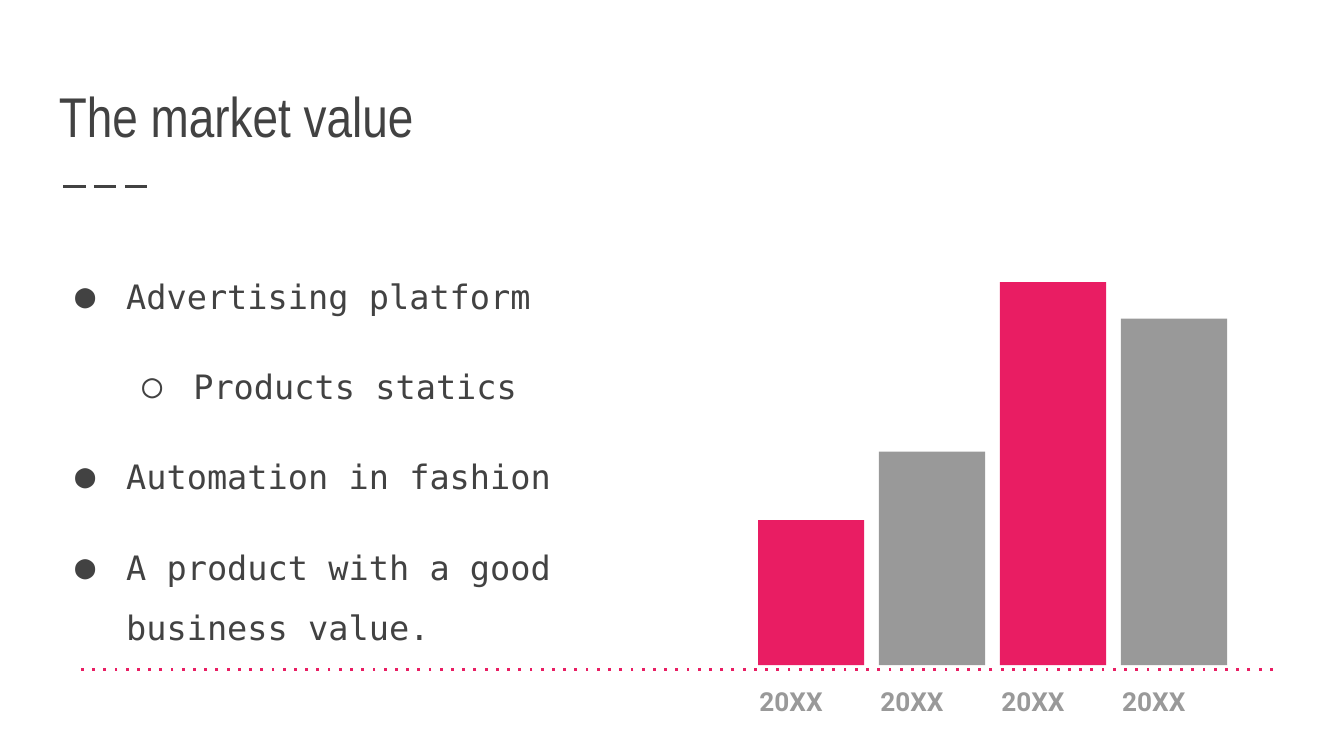
from lxml import etree
from pptx import Presentation
from pptx.dml.color import RGBColor
from pptx.enum.shapes import MSO_CONNECTOR, MSO_SHAPE
from pptx.enum.text import MSO_ANCHOR
from pptx.oxml.ns import qn
from pptx.util import Inches, Pt

STRAIGHT = MSO_CONNECTOR.STRAIGHT
RECTANGLE = MSO_SHAPE.RECTANGLE
TOP, BOTTOM = MSO_ANCHOR.TOP, MSO_ANCHOR.BOTTOM

COLORS = {"text": "424242", "accent": "E91D63", "muted": "999999"}
TITLE = {"name": "Arial Narrow", "size": Pt(30)}
BODY = {"name": "DejaVu Sans Mono", "size": Pt(18)}
YEAR = {"name": "Roboto", "size": Pt(14), "bold": True}
MARGINS = ("margin_left", "margin_top", "margin_right", "margin_bottom")

BULLETS = [
    (0, "Advertising platform"),
    (1, "Products statics"),
    (0, "Automation in fashion"),
    (0, "A product with a good business value."),
]
BARS = [("20XX", 1.08, "accent"), ("20XX", 1.59, "muted"),
        ("20XX", 2.85, "accent"), ("20XX", 2.58, "muted")]
BAR_LEFT, BAR_WIDTH, BAR_STEP, BAR_BASE = 5.64, 0.79, 0.9, 4.95


def rgb(name):
    return RGBColor.from_string(COLORS[name])


def add_span(para, text, style, color):
    span = para.add_run()
    span.text = text
    for key, value in style.items():
        setattr(span.font, key, value)
    span.font.color.rgb = rgb(color)


def add_box(page, left, top, width, height, anchor):
    box = page.shapes.add_textbox(
        Inches(left), Inches(top), Inches(width), Inches(height))
    frame = box.text_frame
    frame.word_wrap = True
    frame.vertical_anchor = anchor
    for side in MARGINS:
        setattr(frame, side, Inches(0.1))
    return frame


def set_bullet(para, level):
    properties = para._p.get_or_add_pPr()
    properties.set("marL", str(Inches(0.5 * (level + 1))))
    properties.set("indent", str(Inches(-0.38)))
    color = etree.SubElement(properties, qn("a:buClr"))
    etree.SubElement(color, qn("a:srgbClr"), val=COLORS["text"])
    etree.SubElement(properties, qn("a:buFont"), typeface=BODY["name"])
    etree.SubElement(properties, qn("a:buChar"), char="●○"[level])


def add_bullets(page):
    frame = add_box(page, 0.34, 1.8, 4.37, 2.58, TOP)
    for index, (level, text) in enumerate(BULLETS):
        para = frame.add_paragraph() if index else frame.paragraphs[0]
        set_bullet(para, level)
        para.level = level
        para.line_spacing = 1.5
        para.space_after = Pt(16)
        add_span(para, text, BODY, "text")


def add_line(page, start, end, y, color, dash):
    line = page.shapes.add_connector(
        STRAIGHT, Inches(start), Inches(y), Inches(end), Inches(y))
    line.line.color.rgb = rgb(color)
    line.line.width = Pt(1.5)
    properties = line._element.spPr
    etree.SubElement(properties.find(qn("a:ln")), qn("a:prstDash"), val=dash)
    etree.SubElement(properties, qn("a:effectLst"))


def add_year_table(page):
    table = page.shapes.add_table(
        1, len(BARS), Inches(5.55), Inches(4.98),
        Inches(BAR_STEP * len(BARS)), Inches(0.26)).table
    table.first_row = False
    table.horz_banding = False
    for cell, (year, _, _) in zip(table.rows[0].cells, BARS):
        cell.fill.background()
        for side in MARGINS:
            setattr(cell, side, Inches(0.1))
        para = cell.text_frame.paragraphs[0]
        para.line_spacing = 1.15
        add_span(para, year, YEAR, "muted")


def add_bar(page, index, height, color):
    bar = page.shapes.add_shape(
        RECTANGLE, Inches(BAR_LEFT + index * BAR_STEP),
        Inches(BAR_BASE - height), Inches(BAR_WIDTH), Inches(height))
    bar.shadow.inherit = False
    bar.fill.solid()
    bar.fill.fore_color.rgb = rgb(color)
    bar.line.fill.background()


def main():
    deck = Presentation()
    # Widescreen, 16 to 9
    deck.slide_width = Inches(10)
    deck.slide_height = Inches(10) * 9 // 16
    page = deck.slides.add_slide(deck.slide_layouts[6])

    # Title with its dashed rule
    add_line(page, 0.47, 1.14, 1.39, "text", "lgDash")
    title = add_box(page, 0.34, 0.41, 9.32, 0.8, BOTTOM)
    add_span(title.paragraphs[0], "The market value", TITLE, "text")

    # Points on the left
    add_bullets(page)

    # Bars, years and baseline
    add_year_table(page)
    for index, (_, height, color) in enumerate(BARS):
        add_bar(page, index, height, color)
    add_line(page, 9.47, 0.56, 4.98, "accent", "dot")

    deck.save("out.pptx")


if __name__ == "__main__":
    main()
